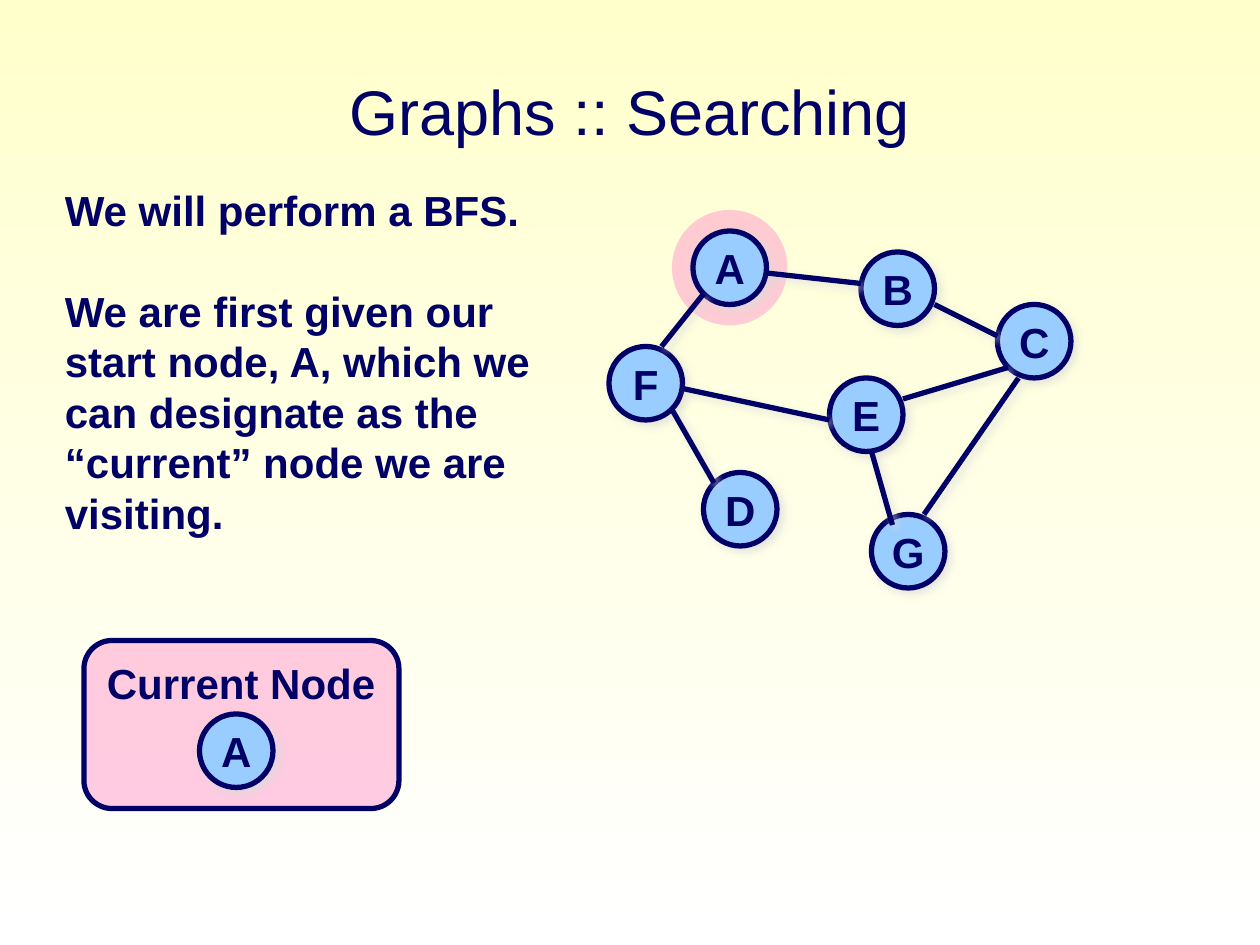
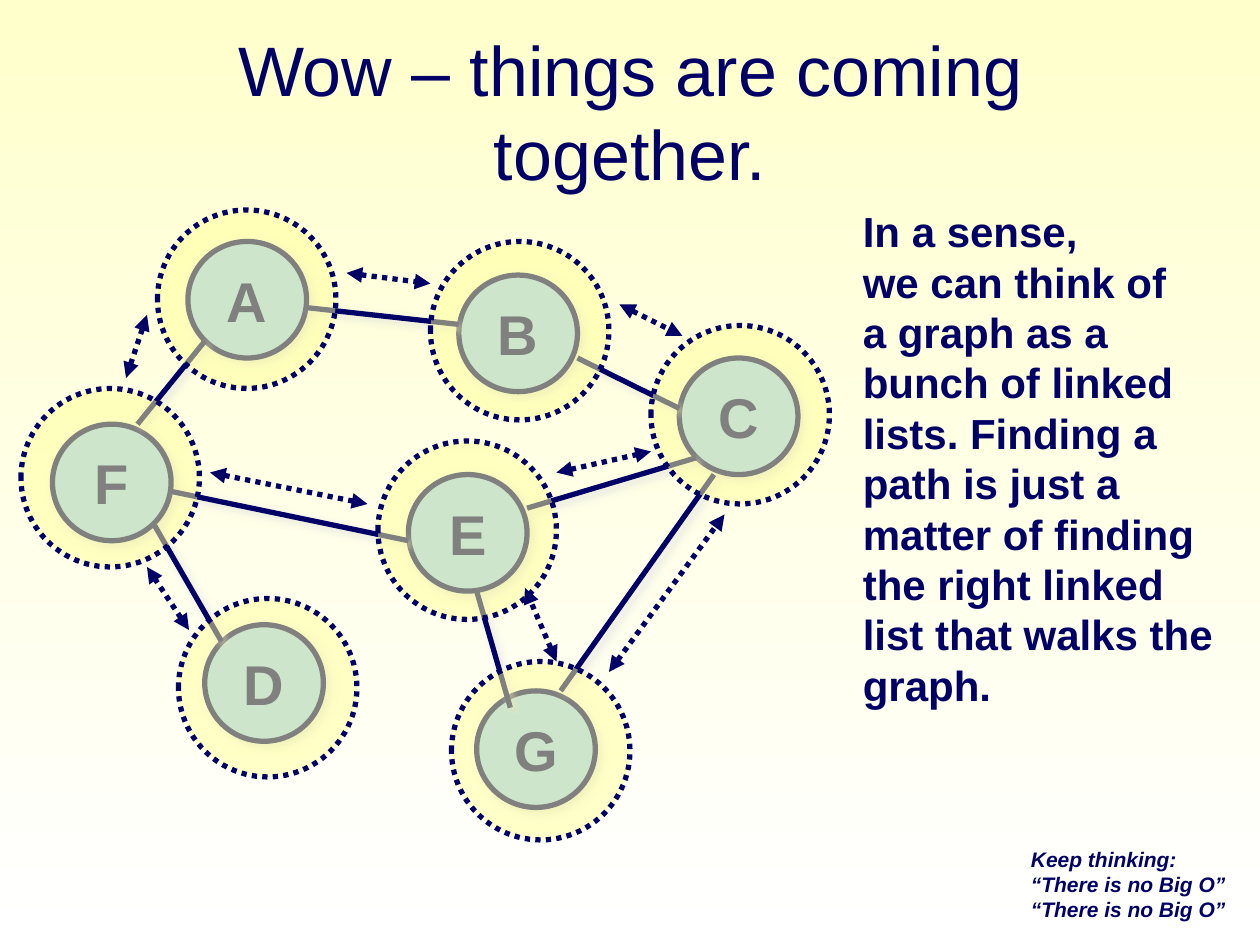
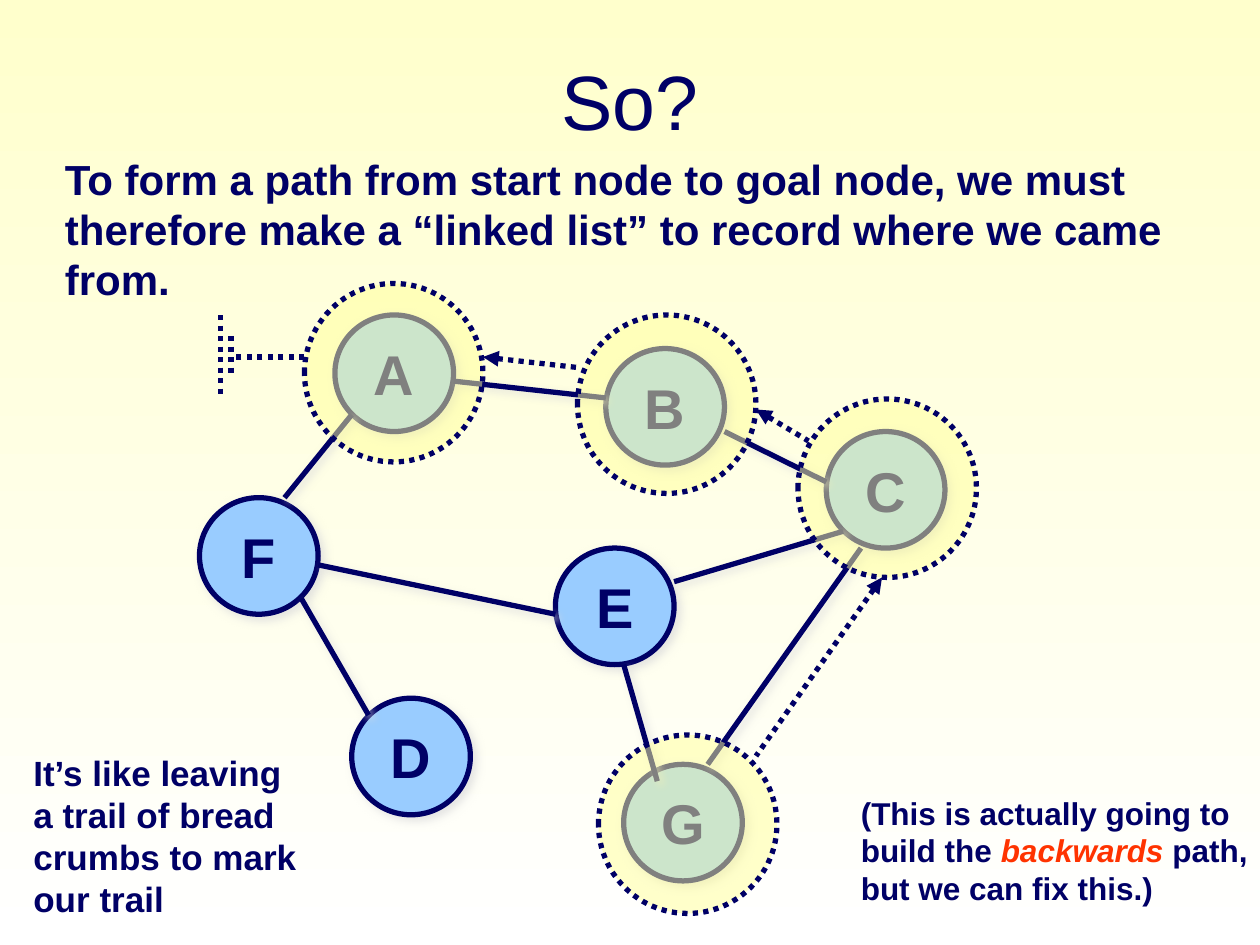
"""Builds three slides on breadth-first search and paths in a graph."""
from lxml import etree
from pptx import Presentation
from pptx import util as u
from pptx.dml import color
from pptx.enum import dml, shapes, text
from pptx.oxml import ns

PX = u.Inches(1) // 120
THEME = {
    "font": "Arial", "ink": "000066", "node": "99CCFF", "current": "FF99CC",
    "halo": "FFFF99", "accent": "FF3300", "shadow": "DDDDDD",
    "top": "FFFFCC", "bottom": "FFFFFF", "line": 3,
    "body": 24, "aside": 20, "remark": 18, "small": 12, "big node": 32,
}
LEFT, CENTER = text.PP_ALIGN.LEFT, text.PP_ALIGN.CENTER
OVAL, ROUNDED = shapes.MSO_SHAPE.OVAL, shapes.MSO_SHAPE.ROUNDED_RECTANGLE


def write(tf, lines, align=LEFT, gaps=(), **fmt):
    """Write lines, each a string or a list of (string, format) runs."""
    for i, line in enumerate(lines):
        p = tf.paragraphs[0] if i == 0 else tf.add_paragraph()
        p.alignment = align
        if i in gaps:
            p.space_before = u.Pt(28.8)
        for words, own in [(line, {})] if isinstance(line, str) else line:
            r = p.add_run()
            r.text = words
            values = {"name": THEME["font"], "ink": THEME["ink"], **fmt, **own}
            r.font.color.rgb = color.RGBColor.from_string(values.pop("ink"))
            r.font.size = u.Pt(values.pop("pt"))
            for key, value in values.items():
                setattr(r.font, key, value)


def style(sp, fill=None, alpha=None, line=True, dotted=False, shadow=False, heads=()):
    """Set the fill, line, arrowheads and shadow of a shape or connector."""
    spPr = sp._element.spPr
    if fill:
        sp.fill.solid()
        sp.fill.fore_color.rgb = color.RGBColor.from_string(fill)
        if alpha:
            etree.SubElement(spPr.find(ns.qn("a:solidFill"))[0], ns.qn("a:alpha"), val=str(alpha * 1000))
    if line:
        sp.line.color.rgb = color.RGBColor.from_string(THEME["ink"])
        sp.line.width = u.Pt(THEME["line"])
        if dotted:
            sp.line.dash_style = dml.MSO_LINE.ROUND_DOT
        for end in heads:
            etree.SubElement(spPr.find(ns.qn("a:ln")), ns.qn(f"a:{end}"), type="triangle")
    else:
        sp.line.fill.background()
    effects = etree.SubElement(spPr, ns.qn("a:effectLst"))
    if shadow:
        outer = etree.SubElement(effects, ns.qn("a:outerShdw"), blurRad=str(u.Pt(5)),
                                 dist=str(u.Pt(3)), dir="2700000", algn="ctr", rotWithShape="0")
        tint = etree.SubElement(outer, ns.qn("a:srgbClr"), val=THEME["shadow"])
        etree.SubElement(tint, ns.qn("a:alpha"), val="75000")


NODE, HALO = 70, 170
NODES = {"A": (80, 0), "G": (250, 270), "B": (240, 20), "C": (370, 70),
         "D": (90, 230), "F": (0, 110), "E": (210, 140)}
EDGES = [(150, 40, 240, 50), (310, 70, 370, 100), (90, 60, 50, 110), (380, 130, 280, 160),
         (390, 140, 300, 270), (270, 280, 250, 210), (100, 240, 60, 170), (70, 150, 210, 180)]
HALOS = {"B": (360, 0), "E": (310, 190), "A": (100, -30), "F": (-30, 140),
         "C": (570, 80), "G": (380, 400), "D": (120, 340)}
LARGE = (113 / NODE, 111 / NODE)
BOTH, HEAD = ("headEnd", "tailEnd"), ("headEnd",)

PAGES = [
    {
        "title": "Graphs :: Searching", "title pt": 36, "title top": 30,
        "origin": (580, 220), "scale": (1, 1), "node pt": THEME["body"],
        "marks": [(OVAL, (640, 200, 110, 110), False), (ROUNDED, (80, 610, 300, 160), True)],
        "copies": [("A", 190, 680)], "halos": "", "arrows": [],
        "notes": [
            ((90, 620, 280, 60), False, ["Current Node"], {"pt": THEME["body"]}),
            ((50, 170, 469, 348), False,
             ["We will perform a BFS.", "We are first given our", "start node, A, which we",
              "can designate as the", "“current” node we are", "visiting."],
             {"pt": THEME["body"], "gaps": (1,)}),
        ],
    },
    {
        "title": "Wow – things are coming together.", "title pt": 40, "title top": 30,
        "origin": (50, 230), "scale": LARGE, "node pt": THEME["big node"],
        "marks": [], "copies": [], "halos": "BEAFCGD",
        "arrows": [
            (180, 600, 140, 540, BOTH), (530, 630, 500, 560, BOTH), (580, 640, 690, 490, BOTH),
            (120, 360, 140, 300, BOTH), (200, 450, 350, 480, BOTH), (330, 260, 410, 270, BOTH),
            (590, 290, 650, 320, BOTH), (530, 450, 620, 430, BOTH),
        ],
        "notes": [
            ((810, 190, 360, 491), True,
             ["In a sense,", "we can think of",
              "a graph as a bunch of linked lists. Finding a path is just a matter of "
              "finding the right linked list that walks the graph."], {"pt": THEME["body"]}),
            ((970, 800, 210, 84), False,
             ["Keep thinking:"] + ["“There is no Big O”"] * 2,
             {"pt": THEME["small"], "italic": True}),
        ],
    },
    {
        "title": "So?", "title pt": 44, "title top": 20,
        "origin": (190, 300), "scale": LARGE, "node pt": THEME["big node"],
        "marks": [], "copies": [], "halos": "ABCG",
        "arrows": [
            (460, 340, 550, 350, HEAD), (720, 390, 770, 420, HEAD), (840, 550, 720, 720, HEAD),
            (290, 340, 220, 340, ()), (220, 320, 220, 360, ()), (210, 300, 210, 380, ()),
        ],
        "notes": [
            ((50, 140, 1100, 156), True,
             ["To form a path from start node to goal node, we must therefore make a "
              "“linked list” to record where we came from."], {"pt": THEME["body"]}),
            ((808, 750, 392, 120), True,
             [[("(This is actually going to build the ", {}),
               ("backwards", {"ink": THEME["accent"], "italic": True}),
               (" path, but we can fix this.)", {})]], {"pt": THEME["remark"]}),
            ((20, 710, 282, 172), False,
             ["It’s like leaving", "a trail of bread", "crumbs to mark", "our trail"],
             {"pt": THEME["aside"]}),
        ],
    },
]

prs = Presentation()
prs.slide_width, prs.slide_height = 1200 * PX, 900 * PX
backdrop = prs.slide_master.background.fill
backdrop.gradient()
backdrop.gradient_angle = 270
for stop, name in zip(backdrop.gradient_stops, ("top", "bottom")):
    stop.color.rgb = color.RGBColor.from_string(THEME[name])

for page in PAGES:
    s = prs.slides.add_slide(prs.slide_layouts[5])
    (ox, oy), (kx, ky) = page["origin"], page["scale"]

    title = s.shapes.title
    box = (90, page["title top"], 1020, 150)
    for key, value in zip(("left", "top", "width", "height"), box):
        setattr(title, key, value * PX)
    tf = title.text_frame
    for key, value in {"word_wrap": True, "auto_size": text.MSO_AUTO_SIZE.NONE,
                       "vertical_anchor": text.MSO_ANCHOR.MIDDLE}.items():
        setattr(tf, key, value)
    write(tf, [page["title"]], CENTER, pt=page["title pt"])

    for kind, box, outlined in page["marks"]:
        sp = s.shapes.add_shape(kind, *(v * PX for v in box))
        style(sp, THEME["current"], 50, line=outlined)

    nodes = [(label, ox + x * kx, oy + y * ky) for label, (x, y) in NODES.items()]
    for label, x, y in nodes + page["copies"]:
        sp = s.shapes.add_shape(OVAL, *(round(v) * PX for v in (x, y, NODE * kx, NODE * ky)))
        style(sp, THEME["node"], shadow=True)
        tf = sp.text_frame
        tf.word_wrap = False
        tf.vertical_anchor = text.MSO_ANCHOR.MIDDLE
        write(tf, [label], CENTER, pt=page["node pt"], bold=True)

    for x1, y1, x2, y2 in EDGES:
        ends = (ox + x1 * kx, oy + y1 * ky, ox + x2 * kx, oy + y2 * ky)
        sp = s.shapes.add_connector(shapes.MSO_CONNECTOR.STRAIGHT, *(round(v) * PX for v in ends))
        style(sp, shadow=True)

    for label in page["halos"]:
        x, y = HALOS[label]
        sp = s.shapes.add_shape(OVAL, *(v * PX for v in (ox + x, oy + y, HALO, HALO)))
        style(sp, THEME["halo"], 50, dotted=True)

    for *ends, heads in page["arrows"]:
        sp = s.shapes.add_connector(shapes.MSO_CONNECTOR.STRAIGHT, *(v * PX for v in ends))
        style(sp, dotted=True, heads=heads)

    for box, wrap, lines, fmt in page["notes"]:
        tf = s.shapes.add_textbox(*(v * PX for v in box)).text_frame
        tf.word_wrap = wrap
        tf.auto_size = text.MSO_AUTO_SIZE.SHAPE_TO_FIT_TEXT
        if wrap:
            tf.margin_right = 6 * PX
        write(tf, lines, bold=True, **fmt)

prs.save("out.pptx")
